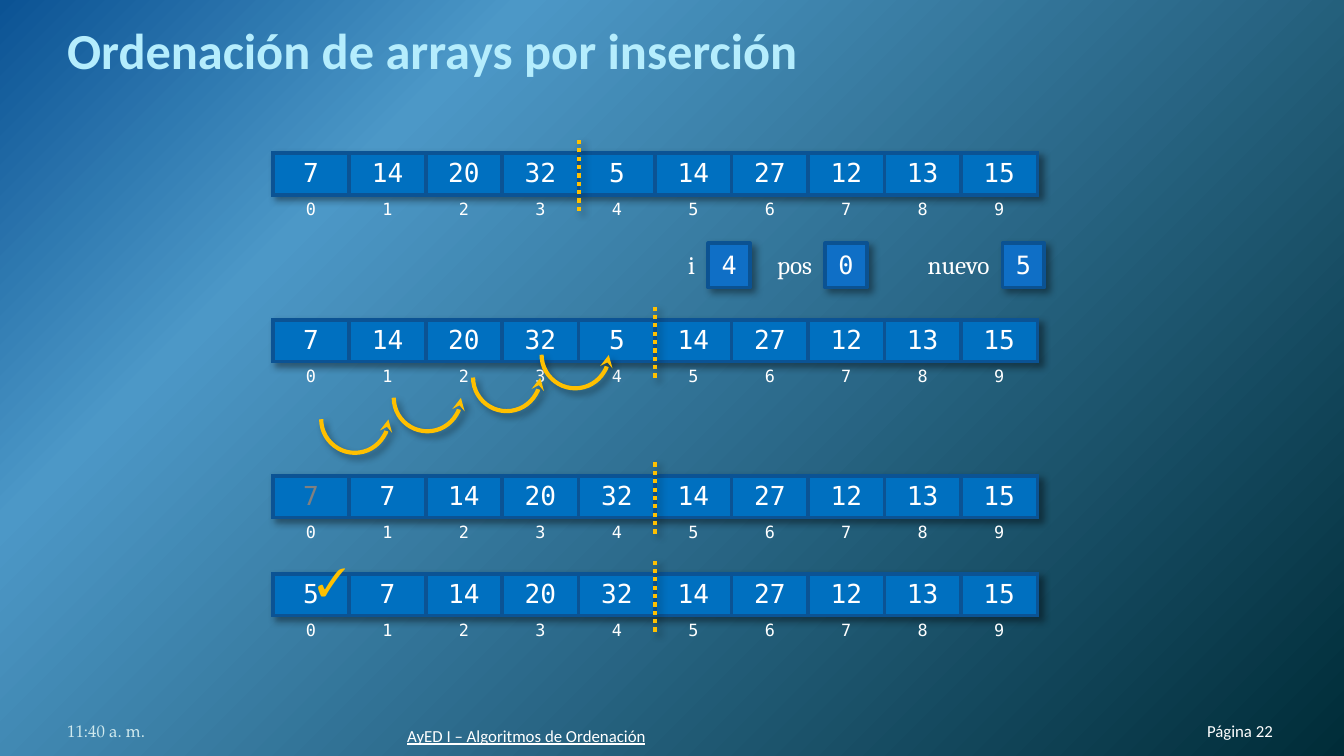
"""Build the slide on sorting arrays by insertion."""
from pptx import Presentation
from pptx.dml.color import RGBColor
from pptx.enum.dml import MSO_LINE
from pptx.enum.shapes import MSO_CONNECTOR, MSO_SHAPE
from pptx.enum.text import MSO_ANCHOR, MSO_AUTO_SIZE, PP_ALIGN
from pptx.oxml import parse_xml
from pptx.oxml.ns import nsdecls
from pptx.util import Inches, Pt

LEFT, CENTER, RIGHT = PP_ALIGN.LEFT, PP_ALIGN.CENTER, PP_ALIGN.RIGHT
TOP, BOTTOM = MSO_ANCHOR.TOP, MSO_ANCHOR.BOTTOM
GROW = MSO_AUTO_SIZE.SHAPE_TO_FIT_TEXT
RECT, ARC = MSO_SHAPE.RECTANGLE, MSO_SHAPE.ARC
STRAIGHT, DOTTED = MSO_CONNECTOR.STRAIGHT, MSO_LINE.ROUND_DOT

WHITE = RGBColor(0xFF, 0xFF, 0xFF)
GREY = RGBColor(0x80, 0x80, 0x80)
GOLD = RGBColor(0xFF, 0xC0, 0x00)
CELL_BLUE = RGBColor(0x00, 0x70, 0xC0)
BORDER_BLUE = RGBColor(0x0B, 0x53, 0x94)
BOX_BLUE = RGBColor(0x0F, 0x6F, 0xC6)
BOX_EDGE = RGBColor(0x0B, 0x52, 0x92)
TITLE_CYAN = RGBColor(0xB5, 0xED, 0xFD)
PALE = RGBColor(0xD1, 0xEA, 0xEE)
STOPS = [(0, BORDER_BLUE), (25, RGBColor(0x4C, 0x98, 0xC7)), (100, RGBColor(0x00, 0x2C, 0x38))]

MONO, SERIF, SANS = "DejaVu Sans Mono", "Cambria", "Calibri"
UNIT = Inches(0.1)
WIDTH, HEIGHT = 100, 56.25
ARRAY_X, COL, CELL_ROW, INDEX_ROW = 20.3, 5.69, 3.03, 2.42
NO_STYLE = "{2D5ABB26-0587-4C30-8999-92F81FD0307C}"
SHADOW = (
    f'<a:effectLst {nsdecls("a")}><a:outerShdw blurRad="{Pt(4)}" dist="{Pt(3)}" dir="2700000" '
    'algn="tl" rotWithShape="0"><a:srgbClr val="000000"><a:alpha val="40000"/></a:srgbClr>'
    "</a:outerShdw></a:effectLst>"
)


def grid(*units):
    return [int(n * UNIT) for n in units]


def write(tf, text, align=LEFT, after=None, **font):
    p = tf.paragraphs[0]
    p.alignment, p.space_after = align, after
    r = p.add_run()
    r.text = text
    r.font.color.rgb = font.pop("color")
    for name, value in font.items():
        setattr(r.font, name, value)


prs = Presentation()
prs.slide_width, prs.slide_height = grid(WIDTH, HEIGHT)
s = prs.slides.add_slide(prs.slide_layouts[6])
shaded = []

fill = s.background.fill
fill.solid()
solid = s.element.xpath(".//p:bgPr/a:solidFill")[0]
stops = "".join(f'<a:gs pos="{pos * 1000}"><a:srgbClr val="{c}"/></a:gs>' for pos, c in STOPS)
solid.getparent().replace(solid, parse_xml(
    f'<a:gradFill {nsdecls("a")} rotWithShape="1"><a:gsLst>{stops}</a:gsLst><a:path path="circle">'
    '<a:fillToRect r="100000" b="100000"/></a:path></a:gradFill>'))

texts = [
    ((5, 2.3, 90, 4.1), 0.5, "Ordenación de arrays por inserción", LEFT,
     dict(size=Pt(27), name=SANS, color=TITLE_CYAN, bold=True)),
    ((84.9, 52.1, 9.8, 3), 0, "Página 22", RIGHT, dict(size=Pt(9), name=SANS, color=WHITE)),
    ((5, 52.1, 23.3, 3), 0, "11:40 a. m.", LEFT,
     dict(size=Pt(9), name="TeX Gyre Pagella", color=PALE)),
    ((30.3, 52.5, 37.8, 3), 0, "AyED I – Algoritmos de Ordenación", LEFT,
     dict(size=Pt(9), name=SANS, color=WHITE, underline=True)),
]
for place, inset, text, align, font in texts:
    tf = s.shapes.add_textbox(*grid(*place)).text_frame
    tf.word_wrap, tf.vertical_anchor = True, BOTTOM
    tf.margin_left = tf.margin_right = 0
    tf.margin_top = tf.margin_bottom = grid(inset)[0]
    write(tf, text, align, **font)

REST = [14, 27, 12, 13, 15]
arrays = [
    (11.4, 4, [7, 14, 20, 32, 5] + REST, WHITE),
    (23.8, 5, [7, 14, 20, 32, 5] + REST, WHITE),
    (35.4, 5, [7, 7, 14, 20, 32] + REST, GREY),
    (42.7, 5, [5, 7, 14, 20, 32] + REST, WHITE),
]
for y, sorted_count, values, first_color in arrays:
    n = len(values)
    frame = s.shapes.add_table(2, n, *grid(ARRAY_X, y, n * COL, CELL_ROW + INDEX_ROW))
    table = frame.table
    table.first_row = table.horz_banding = False
    tbl_pr = frame.element.xpath(".//a:tblPr")[0]
    tbl_pr[0].text = NO_STYLE
    shaded.append((tbl_pr, 0))
    for col in table.columns:
        col.width = grid(COL)[0]
    lines = [(values, CELL_ROW, 14, "LRTB"), (range(n), INDEX_ROW, 9, "T")]
    for row, (items, height, size, sides) in enumerate(lines):
        table.rows[row].height = grid(height)[0]
        for c, item in enumerate(items):
            cell = table.cell(row, c)
            cell.margin_left = cell.margin_right = grid(0.7)[0]
            cell.margin_top = cell.margin_bottom = grid(0.38)[0]
            color = first_color if row == c == 0 else WHITE
            write(cell.text_frame, str(item), CENTER, size=Pt(size), name=MONO, color=color)
            if row == 0:
                cell.fill.solid()
                cell.fill.fore_color.rgb = CELL_BLUE
            else:
                cell.fill.background()
            for i, side in enumerate(sides):
                cell.fill._xPr.insert(i, parse_xml(
                    f'<a:ln{side} {nsdecls("a")} w="{Pt(2.25)}"><a:solidFill>'
                    f'<a:srgbClr val="{BORDER_BLUE}"/></a:solidFill></a:ln{side}>'))
    x = ARRAY_X + sorted_count * COL
    divider = s.shapes.add_connector(STRAIGHT, *grid(x, y + 4.3, x, y - 1.05))
    divider.line.color.rgb, divider.line.width = GOLD, Pt(2.25)
    divider.line.dash_style = DOTTED
    sp_pr = divider.element.spPr
    shaded.append((sp_pr, len(sp_pr)))

for x, y in [(40.3, 23.9), (35.2, 25.6), (29.3, 27.1), (23.9, 28.7)]:
    arc = s.shapes.add_shape(ARC, *grid(x, y, 5, 5))
    arc.adjustments[0], arc.adjustments[1] = 162, 53.776
    arc.rotation = 270
    arc.fill.background()
    arc.line.color.rgb, arc.line.width = GOLD, Pt(2.25)
    sp_pr = arc.element.spPr
    sp_pr.xpath("a:xfrm")[0].set("flipH", "1")
    sp_pr.xpath("a:ln")[0].append(parse_xml(f'<a:tailEnd {nsdecls("a")} type="stealth"/>'))
    shaded.append((sp_pr, len(sp_pr)))

for label, value, x, label_width in [("nuevo", 5, 74.6, 6.9), ("pos", 0, 61.4, 4.9), ("i", 4, 52.7, 2.5)]:
    group = s.shapes.add_group_shape()
    box = group.shapes.add_shape(RECT, *grid(x, 18.1, 3.1, 3.3))
    box.fill.solid()
    box.fill.fore_color.rgb = BOX_BLUE
    box.line.color.rgb, box.line.width = BOX_EDGE, Pt(2)
    sp_pr = box.element.spPr
    shaded.append((sp_pr, len(sp_pr)))
    caption = group.shapes.add_textbox(*grid(x - label_width, 18.1, label_width, 3.3))
    for sp, text, align, face in [(box, str(value), LEFT, MONO), (caption, label, RIGHT, SERIF)]:
        tf = sp.text_frame
        tf.word_wrap, tf.auto_size, tf.vertical_anchor = False, GROW, TOP
        write(tf, text, align, Pt(4.5), size=Pt(13.5), name=face, color=WHITE)

tf = s.shapes.add_textbox(*grid(22.6, 41, 4.3, 4.5)).text_frame
tf.word_wrap, tf.auto_size = False, GROW
write(tf, "✓", LEFT, Pt(4.5), size=Pt(21), name=SERIF, color=GOLD, bold=True)

for element, index in shaded:
    element.insert(index, parse_xml(SHADOW))

prs.save("out.pptx")
